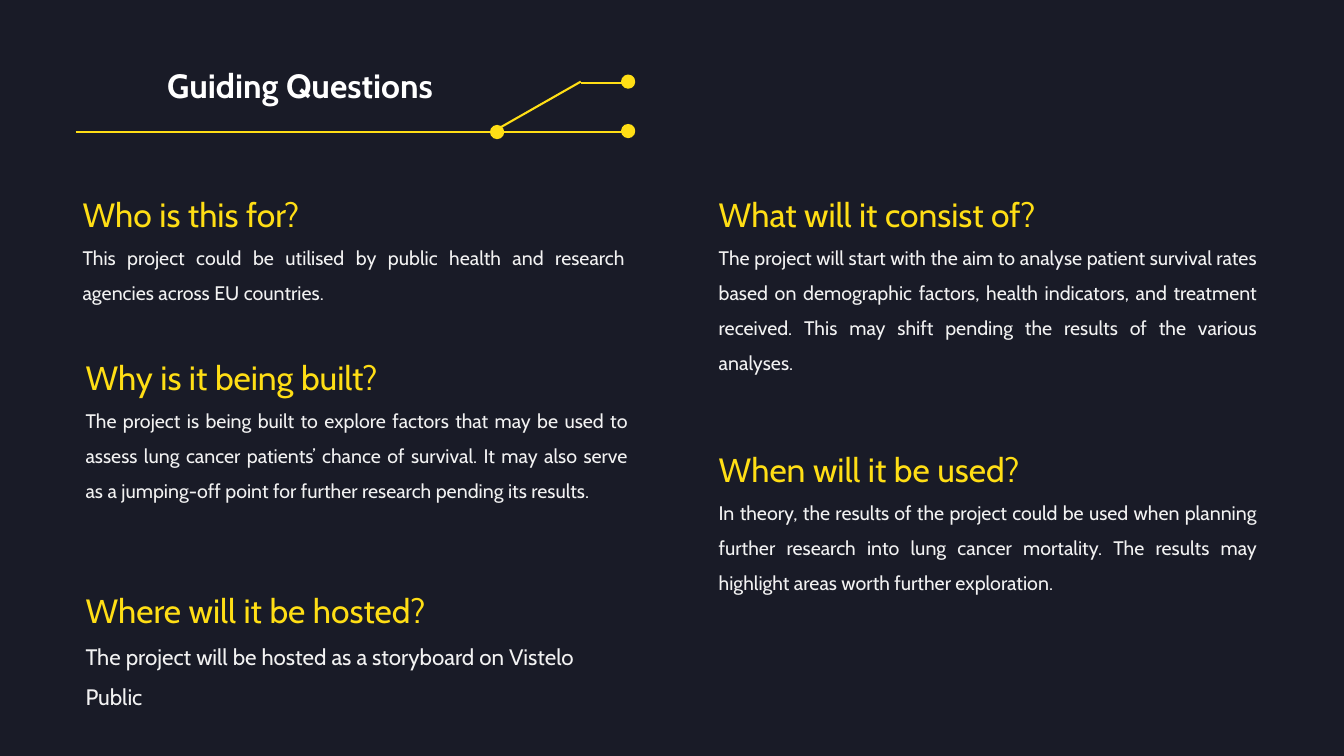
from dataclasses import dataclass

from lxml.etree import SubElement
from pptx import Presentation
from pptx.dml.color import RGBColor as Color
from pptx.enum.shapes import MSO_CONNECTOR as Connector, MSO_SHAPE as Shape
from pptx.enum.text import MSO_AUTO_SIZE as AutoSize, PP_ALIGN as Align
from pptx.oxml.ns import qn
from pptx.util import Pt

PX = 9144  # EMU per px, 100 px to the inch


@dataclass(frozen=True)
class Theme:
    font: str = "Cabin"
    background: Color = Color(0x19, 0x1B, 0x27)
    accent: Color = Color(0xFF, 0xDE, 0x15)
    title: Color = Color(0xFF, 0xFF, 0xFF)
    body: Color = Color(0xF2, 0xF2, 0xF2)
    heading_size: int = 24
    body_size: int = 14
    hosting_size: int = 16
    line_width: float = 1.5


theme = Theme()


def add_text_frame(left, top, width, height):
    box = slide.shapes.add_textbox(left * PX, top * PX, width * PX, height * PX)
    frame = box.text_frame
    frame.word_wrap = True
    frame.auto_size = AutoSize.SHAPE_TO_FIT_TEXT
    return frame


def write(paragraph, text, size, color):
    paragraph.text = text
    paragraph.font.name = theme.font
    paragraph.font.size = Pt(size)
    paragraph.font.color.rgb = color


presentation = Presentation()
presentation.slide_width = 1333 * PX
presentation.slide_height = 750 * PX
slide = presentation.slides.add_slide(presentation.slide_layouts[6])
slide.background.fill.solid()
slide.background.fill.fore_color.rgb = theme.background

# Title
title = add_text_frame(156, 59, 501, 50).paragraphs[0]
write(title, "Guiding Questions", theme.heading_size, theme.title)
title.font.bold = True

# Circuit lines under the title: start x, start y, end x, end y
circuit_lines = [
    (75, 131, 629, 131),
    (490, 130, 576, 81),
    (576, 82, 623, 82),
]
for ends in circuit_lines:
    line = slide.shapes.add_connector(Connector.STRAIGHT, *(end * PX for end in ends))
    line.line.color.rgb = theme.accent
    line.line.width = Pt(theme.line_width)
    SubElement(line._element.spPr, qn("a:effectLst"))

# Circuit dots
DOT = 12
for left, top in [(487, 125), (617, 124), (617, 75)]:
    dot = slide.shapes.add_shape(Shape.OVAL, left * PX, top * PX, DOT * PX, DOT * PX)
    dot.shadow.inherit = False
    dot.fill.solid()
    dot.fill.fore_color.rgb = theme.accent
    dot.line.color.rgb = theme.accent
    dot.line.width = Pt(theme.line_width)

# Questions: left, top, width, height, heading, answer, answer size, alignment
questions = [
    (72, 167, 558, 138, "Who is this for?",
     "This project could be utilised by public health and research agencies "
     "across EU countries.", theme.body_size, Align.JUSTIFY),
    (75, 329, 558, 209, "Why is it being built?",
     "The project is being built to explore factors that may be used to assess "
     "lung cancer patients’ chance of survival. It may also serve as a "
     "jumping-off point for further research pending its results.",
     theme.body_size, Align.JUSTIFY),
    (703, 420, 554, 173, "When will it be used?",
     "In theory, the results of the project could be used when planning further "
     "research into lung cancer mortality. The results may highlight areas "
     "worth further exploration.", theme.body_size, Align.JUSTIFY),
    (703, 167, 554, 209, "What will it consist of?",
     "The project will start with the aim to analyse patient survival rates "
     "based on demographic factors, health indicators, and treatment received. "
     "This may shift pending the results of the various analyses.",
     theme.body_size, Align.JUSTIFY),
    (75, 560, 554, 148, "Where will it be hosted?",
     "The project will be hosted as a storyboard on Vistelo Public",
     theme.hosting_size, Align.LEFT),
]
for left, top, width, height, heading, answer, answer_size, alignment in questions:
    frame = add_text_frame(left, top, width, height)
    write(frame.paragraphs[0], heading, theme.heading_size, theme.accent)
    answer_paragraph = frame.add_paragraph()
    write(answer_paragraph, answer, answer_size, theme.body)
    answer_paragraph.alignment = alignment
    for paragraph in frame.paragraphs:
        paragraph.line_spacing = 1.5

presentation.save("out.pptx")
